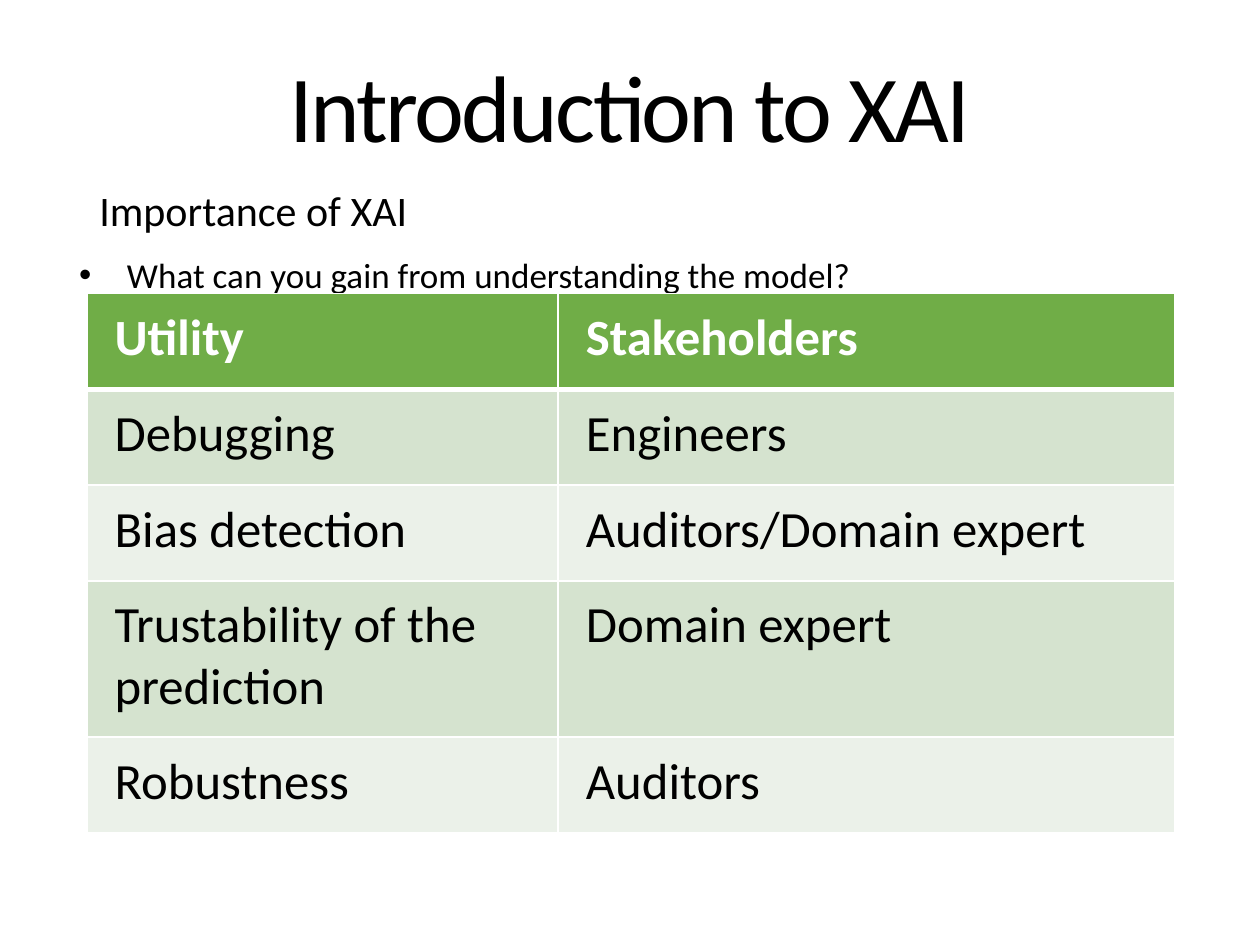
from typing import NamedTuple

from lxml import etree
from pptx import Presentation
from pptx.dml.color import RGBColor
from pptx.enum.text import MSO_ANCHOR, PP_ALIGN
from pptx.oxml.ns import qn
from pptx.util import Inches, Pt

LEFT, CENTER = PP_ALIGN.LEFT, PP_ALIGN.CENTER
TOP, BOTTOM = MSO_ANCHOR.TOP, MSO_ANCHOR.BOTTOM
TITLE_ONLY = 5
FONT = "Calibri"
COLORS = {
    "text": "000000",
    "white": "FFFFFF",
    "header": "70AD47",
    "odd_row": "D5E3CF",
    "even_row": "EBF1E9",
}


class Box(NamedTuple):
    left: float
    top: float
    width: float
    height: float


class UtilityRow(NamedTuple):
    utility: str
    stakeholders: str
    height: float = 0.76


ROWS = [
    UtilityRow("Utility", "Stakeholders"),
    UtilityRow("Debugging", "Engineers"),
    UtilityRow("Bias detection", "Auditors/Domain expert"),
    UtilityRow("Trustability of the prediction", "Domain expert", 1.24),
    UtilityRow("Robustness", "Auditors"),
]
COLUMN_WIDTHS = (3.74, 4.89)
TABLE_BOX = Box(0.69, 2.33, sum(COLUMN_WIDTHS), sum(row.height for row in ROWS))


def write_text(frame, text: str, *, size: float, color: str = "text",
               bold: bool = False, align=LEFT, anchor=TOP,
               line_spacing: float = 1.0, space_after: float = 0,
               tracking: float = 0, bullet_indent: float = 0) -> None:
    frame.word_wrap = True
    frame.vertical_anchor = anchor
    paragraph = frame.paragraphs[0]
    paragraph.alignment = align
    paragraph.line_spacing = line_spacing
    paragraph.space_before = Pt(0)
    paragraph.space_after = Pt(space_after)
    if bullet_indent:
        properties = paragraph._p.get_or_add_pPr()
        properties.set("marL", str(Inches(bullet_indent)))
        properties.set("indent", str(-Inches(bullet_indent)))
        etree.SubElement(properties, qn("a:buFont"), typeface="Arial")
        etree.SubElement(properties, qn("a:buChar"), char="•")
    run = paragraph.add_run()
    run.text = text
    run.font.name = FONT
    run.font.size = Pt(size)
    run.font.bold = bold
    run.font.color.rgb = RGBColor.from_string(COLORS[color])
    if tracking:
        run._r.get_or_add_rPr().set("spc", str(round(tracking * 100)))


def add_text_box(slide, box: Box, text: str, **text_format) -> None:
    text_box = slide.shapes.add_textbox(*map(Inches, box))
    write_text(text_box.text_frame, text, **text_format)


def add_borders(cell, bottom_width: float) -> None:
    properties = cell._tc.get_or_add_tcPr()
    for side, width in (("L", 1), ("R", 1), ("T", 1), ("B", bottom_width)):
        line = etree.SubElement(properties, qn(f"a:ln{side}"), w=str(Pt(width)))
        fill = etree.SubElement(line, qn("a:solidFill"))
        etree.SubElement(fill, qn("a:srgbClr"), val=COLORS["white"])


def format_cell(cell, text: str, row_index: int) -> None:
    is_header = row_index == 0
    cell.margin_left = cell.margin_right = Inches(0.22)
    cell.margin_top = cell.margin_bottom = Inches(0.11)
    add_borders(cell, 3 if is_header else 1)
    fill_color = "header" if is_header else ("even_row", "odd_row")[row_index % 2]
    cell.fill.solid()
    cell.fill.fore_color.rgb = RGBColor.from_string(COLORS[fill_color])
    write_text(cell.text_frame, text, size=29, bold=is_header,
               color="white" if is_header else "text")


def add_utility_table(slide, box: Box, rows: list[UtilityRow]) -> None:
    table = slide.shapes.add_table(
        len(rows), len(COLUMN_WIDTHS), *map(Inches, box)).table
    for column, width in zip(table.columns, COLUMN_WIDTHS):
        column.width = Inches(width)
    for row_index, row in enumerate(rows):
        table.rows[row_index].height = Inches(row.height)
        for column_index, text in enumerate((row.utility, row.stakeholders)):
            format_cell(table.cell(row_index, column_index), text, row_index)


def main() -> None:
    presentation = Presentation()
    presentation.slide_width = Inches(10)
    presentation.slide_height = Inches(7.5)
    slide = presentation.slides.add_slide(presentation.slide_layouts[TITLE_ONLY])

    title = slide.shapes.title
    title.left, title.top, title.width, title.height = map(
        Inches, Box(0.69, 0.32, 8.62, 1.02))
    write_text(title.text_frame, "Introduction to XAI", size=54, align=CENTER,
               anchor=BOTTOM, line_spacing=0.9, tracking=-1.5)

    add_text_box(slide, Box(0.69, 1.46, 8.62, 0.46), "Importance of XAI",
                 size=24, line_spacing=0.9)
    add_text_box(slide, Box(0.53, 1.96, 7.4, 0.44),
                 "What can you gain from understanding the model?",
                 size=20, space_after=6, bullet_indent=0.38)
    add_utility_table(slide, TABLE_BOX, ROWS)
    presentation.save("out.pptx")


if __name__ == "__main__":
    main()
